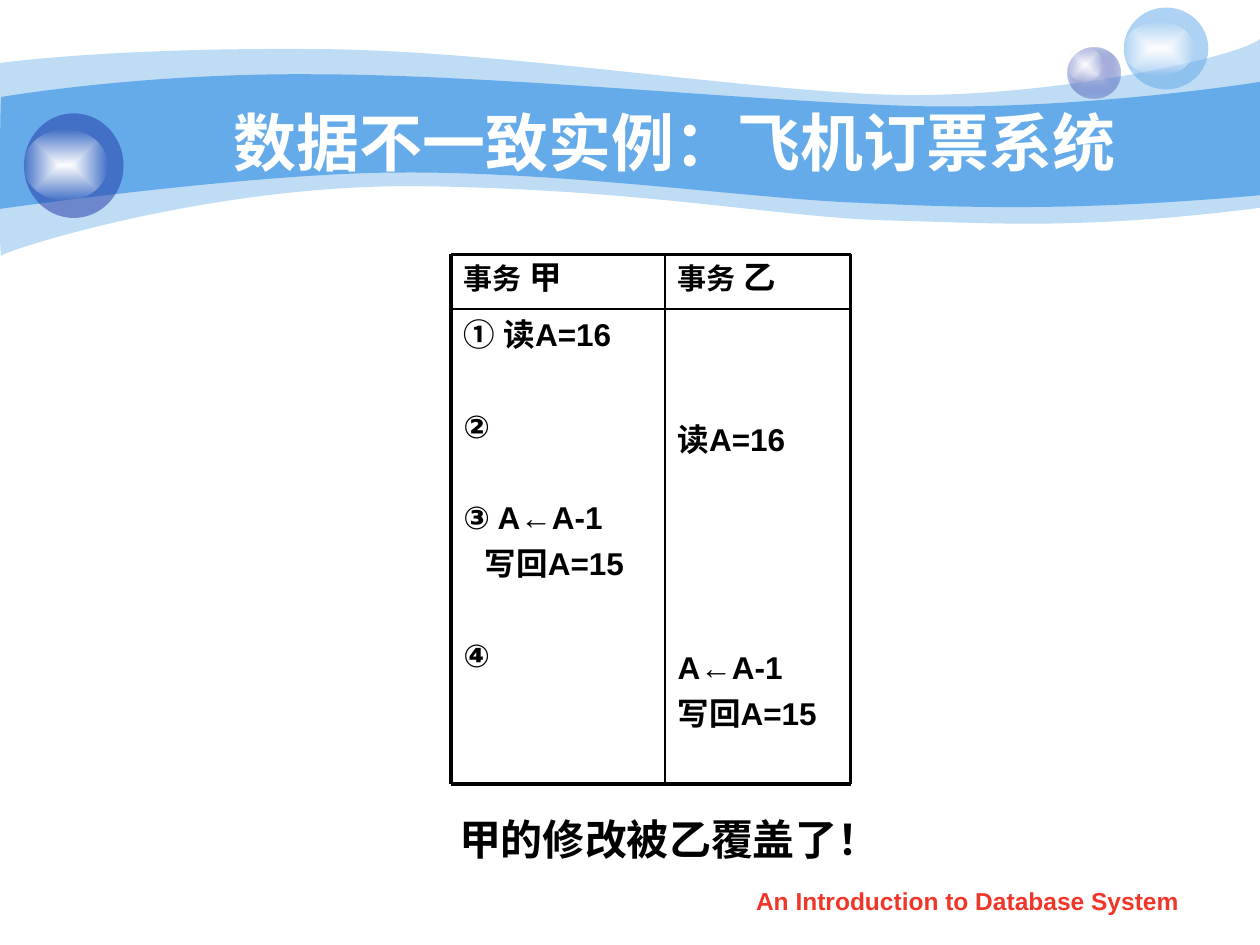
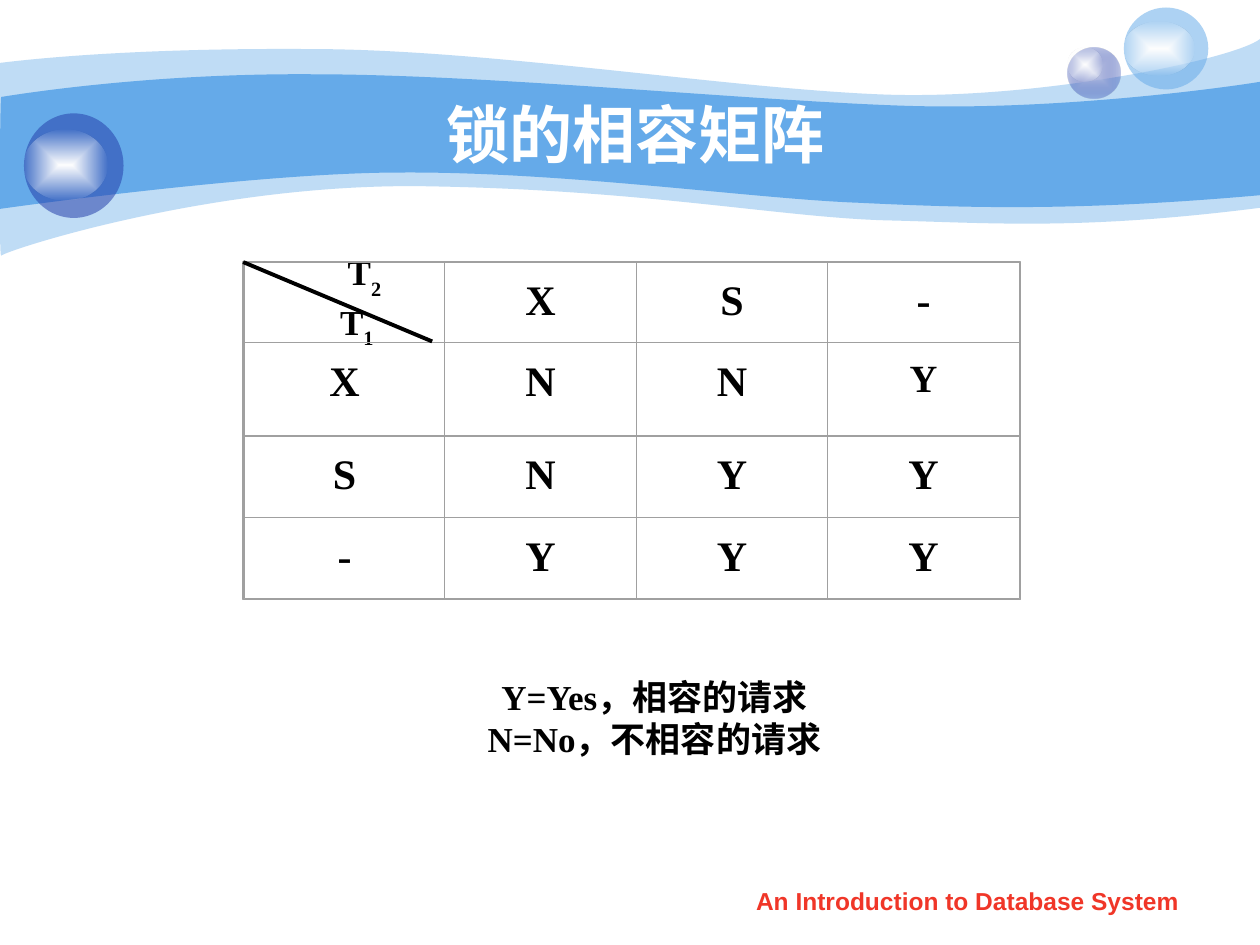
from dataclasses import dataclass
from itertools import accumulate
from typing import NamedTuple

from lxml.etree import SubElement
from pptx import Presentation
from pptx.dml.color import RGBColor
from pptx.enum.shapes import MSO_CONNECTOR as Connector, MSO_SHAPE as Shape
from pptx.enum.text import MSO_ANCHOR as Anchor, PP_ALIGN as Align
from pptx.oxml.ns import qn
from pptx.util import Pt

PX = 9144


@dataclass(frozen=True)
class Theme:
    sky: str = "65AAE9"
    navy: str = "233DA9"
    lavender: str = "C6CCE8"
    white: str = "FFFFFF"
    glow_edge: str = "FEFEFE"
    black: str = "000000"
    grid: str = "A0A0A0"
    footer: str = "F03628"
    sans: str = "Arial"
    serif: str = "Times New Roman"
    title_size: float = 36
    large_size: float = 24
    matrix_small_size: float = 22
    legend_size: float = 20
    step_size: float = 18
    party_size: float = 18.5
    header_size: float = 16.6
    footer_size: float = 14
    thick: float = 2.25
    thin: float = 1
    frame: float = 0.88
    hairline: float = 0


THEME = Theme()


class Box(NamedTuple):
    left: int
    top: int
    width: int
    height: int

    def emu(self) -> list[int]:
        return [length * PX for length in self]


class Paint(NamedTuple):
    color: str
    alpha: int = 100


class Ball(NamedTuple):
    body: Box
    paints: tuple[Paint, ...]
    glow: Box


class Band(NamedTuple):
    paint: Paint
    start: tuple[int, int]
    segments: tuple[tuple[tuple[int, int], ...], ...]


@dataclass(frozen=True)
class Line:
    text: str
    size: float
    font: str = THEME.sans
    color: str = THEME.black
    align: Align = Align.LEFT
    before: float = 0
    indent: int = 0
    spacing: float | Pt | None = None
    tail: str = ""
    tail_size: float = 0
    subscript: bool = False


GLOW = (Paint(THEME.white), Paint(THEME.glow_edge, 0))
BANDS = (
    Band(Paint(THEME.sky, 41), (0, 50), (
        ((24, 47), (107, 38), (247, 39)), ((386, 39), (575, 70), (699, 75)),
        ((822, 80), (980, 47), (1000, 31)), ((1000, 165),),
        ((858, 183), (787, 177), (705, 175)), ((622, 173), (515, 151), (343, 148)),
        ((172, 144), (4, 199), (1, 203)), ((-1, 208), (0, 75), (0, 50)))),
    Band(Paint(THEME.sky), (1, 77), (
        ((2, 77), (110, 58), (248, 59)), ((386, 59), (595, 80), (718, 84)),
        ((841, 88), (976, 69), (1000, 65)), ((1000, 155),),
        ((853, 168), (765, 165), (682, 161)), ((599, 158), (447, 136), (317, 137)),
        ((203, 137), (-2, 166), (-1, 166)), ((0, 166), (0, 77), (1, 77)))),
)
BALLS = (
    Ball(Box(847, 38, 42, 40), (Paint(THEME.lavender), Paint(THEME.navy, 31)), Box(847, 38, 28, 27)),
    Ball(Box(892, 6, 67, 65), (Paint(THEME.sky, 53),), Box(892, 17, 56, 43)),
    Ball(Box(19, 90, 79, 83), (Paint(THEME.navy, 53),), Box(19, 103, 66, 56)),
)


def add_color(parent, paint: Paint) -> None:
    color = SubElement(parent, qn("a:srgbClr"), val=paint.color)
    if paint.alpha < 100:
        SubElement(color, qn("a:alpha"), val=str(paint.alpha * 1000))


def paint_shape(shape, paints: tuple[Paint, ...]) -> None:
    shape.shadow.inherit = False
    shape.line.fill.background()
    shape.fill.background()
    fill = shape._element.spPr.find(qn("a:noFill"))
    if len(paints) == 1:
        fill.tag = qn("a:solidFill")
        add_color(fill, paints[0])
        return
    fill.tag = qn("a:gradFill")
    stops = SubElement(fill, qn("a:gsLst"))
    for position, paint in zip((0, 100000), paints):
        add_color(SubElement(stops, qn("a:gs"), pos=str(position)), paint)
    path = SubElement(fill, qn("a:path"), path="rect")
    SubElement(path, qn("a:fillToRect"), {side: "50000" for side in "ltrb"})


def add_band(slide, band: Band) -> None:
    builder = slide.shapes.build_freeform(*band.start, scale=PX)
    builder.add_line_segments([point for segment in band.segments for point in segment], close=True)
    shape = builder.convert_to_shape()
    corners = iter(list(shape._element.spPr.iter(qn("a:lnTo"))))
    for segment in band.segments:
        first, *others = [next(corners) for _ in segment]
        if others:
            first.tag = qn("a:cubicBezTo")
            for corner in others:
                first.append(corner[0])
                corner.getparent().remove(corner)
    paint_shape(shape, (band.paint,))


def add_oval(slide, box: Box, paints: tuple[Paint, ...]) -> None:
    paint_shape(slide.shapes.add_shape(Shape.OVAL, *box.emu()), paints)


def style_line(shape, color: str, width: float) -> None:
    shape.line.color.rgb = RGBColor.from_string(color)
    shape.line.width = Pt(width)


def add_rectangle(slide, box: Box, width: float) -> None:
    rectangle = slide.shapes.add_shape(Shape.RECTANGLE, *box.emu())
    rectangle.shadow.inherit = False
    rectangle.fill.background()
    style_line(rectangle, THEME.grid, width)


def add_rule(slide, start: tuple[int, int], end: tuple[int, int], width: float) -> None:
    rule = slide.shapes.add_connector(Connector.STRAIGHT, *[length * PX for length in start + end])
    style_line(rule, THEME.black, width)
    SubElement(rule._element.spPr, qn("a:effectLst"))


def format_run(run, line: Line, size: float) -> None:
    run.font.size = Pt(size)
    run.font.bold = True
    run.font.name = line.font
    run.font.color.rgb = RGBColor.from_string(line.color)
    SubElement(run._r.get_or_add_rPr(), qn("a:ea"), typeface=THEME.sans)


def add_text(slide, box: Box, *lines: Line, anchor: Anchor = Anchor.TOP, top: int = 5) -> None:
    text_frame = slide.shapes.add_textbox(*box.emu()).text_frame
    text_frame.word_wrap = True
    text_frame.vertical_anchor = anchor
    text_frame.margin_top = top * PX
    text_frame.text = "\n".join(line.text for line in lines)
    for paragraph, line in zip(text_frame.paragraphs, lines):
        paragraph.alignment = line.align
        paragraph.space_before = Pt(line.before)
        if line.spacing:
            paragraph.line_spacing = line.spacing
        if line.indent:
            paragraph._p.get_or_add_pPr().set("marL", str(line.indent * PX))
        format_run(paragraph.runs[0], line, line.size)
        if line.tail:
            tail = paragraph.add_run()
            tail.text = line.tail
            format_run(tail, line, line.tail_size or line.size)
            if line.subscript:
                tail._r.get_or_add_rPr().set("baseline", "-30000")


def add_frame(presentation):
    slide = presentation.slides.add_slide(presentation.slide_layouts[6])
    for band in BANDS:
        add_band(slide, band)
    for ball in BALLS:
        add_oval(slide, ball.body, ball.paints)
        add_oval(slide, ball.glow, GLOW)
    return slide


def add_title(slide, title: str, box: Box, font: str) -> None:
    add_text(slide, box, Line(title, THEME.title_size, font, THEME.white, Align.CENTER),
             anchor=Anchor.MIDDLE)


def add_footer(slide) -> None:
    add_text(slide, Box(571, 698, 394, 35),
             Line("An Introduction to Database System", THEME.footer_size, color=THEME.footer,
                  align=Align.CENTER))


def step(text: str, before: float = 4.5, indent: int = 0) -> Line:
    return Line(text, THEME.step_size, before=before, indent=indent, spacing=Pt(THEME.step_size * 1.2))


def add_booking_slide(presentation) -> None:
    slide = add_frame(presentation)
    add_text(slide, Box(106, 603, 850, 125),
             Line("甲的修改被乙覆盖了！", THEME.large_size, align=Align.CENTER), anchor=Anchor.MIDDLE)
    left, middle, right = columns = (358, 528, 675)
    top, header_bottom, bottom = rows = (202, 245, 622)
    gap = 30.8
    first_steps = (step("① 读A=16", 0), step("②", gap), step("③ A←A-1", gap),
                   step("写回A=15", indent=17), step("④", gap))
    second_steps = (step("读A=16", 0), step("A←A-1", 109), step("写回A=15"))
    parties = (("甲", left, middle, first_steps, 5), ("乙", middle, right, second_steps, 88))
    for name, start, end, steps, inset in parties:
        add_text(slide, Box(start, header_bottom, end - start, bottom - header_bottom), *steps, top=inset)
        add_text(slide, Box(start, top, end - start, header_bottom - top),
                 Line("事务 ", THEME.header_size, spacing=0.9, tail=name, tail_size=THEME.party_size),
                 top=6)
    widths = (THEME.thick, THEME.thin, THEME.thick)
    for y, width in zip(rows, widths):
        add_rule(slide, (left, y), (right, y), width)
    for x, width in zip(columns, widths):
        add_rule(slide, (x, top), (x, bottom), width)
    add_title(slide, "数据不一致实例：飞机订票系统", Box(153, 77, 764, 70), THEME.serif)
    add_footer(slide)


def add_lock_slide(presentation) -> None:
    slide = add_frame(presentation)
    add_title(slide, "锁的相容矩阵", Box(100, 75, 808, 62), THEME.sans)
    legend = [Line(text, THEME.legend_size, THEME.serif, align=Align.CENTER,
                   spacing=Pt(THEME.legend_size * 1.2))
              for text in ("Y=Yes，相容的请求", "N=No，不相容的请求")]
    add_text(slide, Box(366, 531, 307, 121), *legend)
    transactions = [Line("T", THEME.legend_size, THEME.serif, indent=indent, tail=number, subscript=True)
                    for number, indent in (("2", 34), ("1", 28))]
    add_text(slide, Box(232, 194, 88, 89), *transactions)

    left, top, padding = 194, 208, 15
    widths, heights = (159, 152, 152, 152), (64, 74, 65, 64)
    matrix = (" XS-", "XNNY", "SNYY", "-YYY")
    for r, (y, height) in enumerate(zip(accumulate(heights, initial=top), heights)):
        for c, (x, width) in enumerate(zip(accumulate(widths, initial=left), widths)):
            lock = matrix[r][c].strip()
            if lock:
                size = THEME.matrix_small_size if (r, c) == (1, 3) else THEME.large_size
                add_text(slide, Box(x + padding, y, width - 2 * padding, height),
                         Line(lock, size, THEME.serif, align=Align.CENTER), top=9)
            add_rectangle(slide, Box(x, y, width, height), THEME.hairline)
    add_rectangle(slide, Box(left - 1, top, sum(widths) + 2, sum(heights) + 1), THEME.frame)
    add_rule(slide, (left - 1, top), (left + 149, top + 63), THEME.thick)
    add_footer(slide)


def main() -> None:
    presentation = Presentation()
    presentation.slide_width = 1000 * PX
    presentation.slide_height = 750 * PX
    add_booking_slide(presentation)
    add_lock_slide(presentation)
    presentation.save("out.pptx")


if __name__ == "__main__":
    main()
